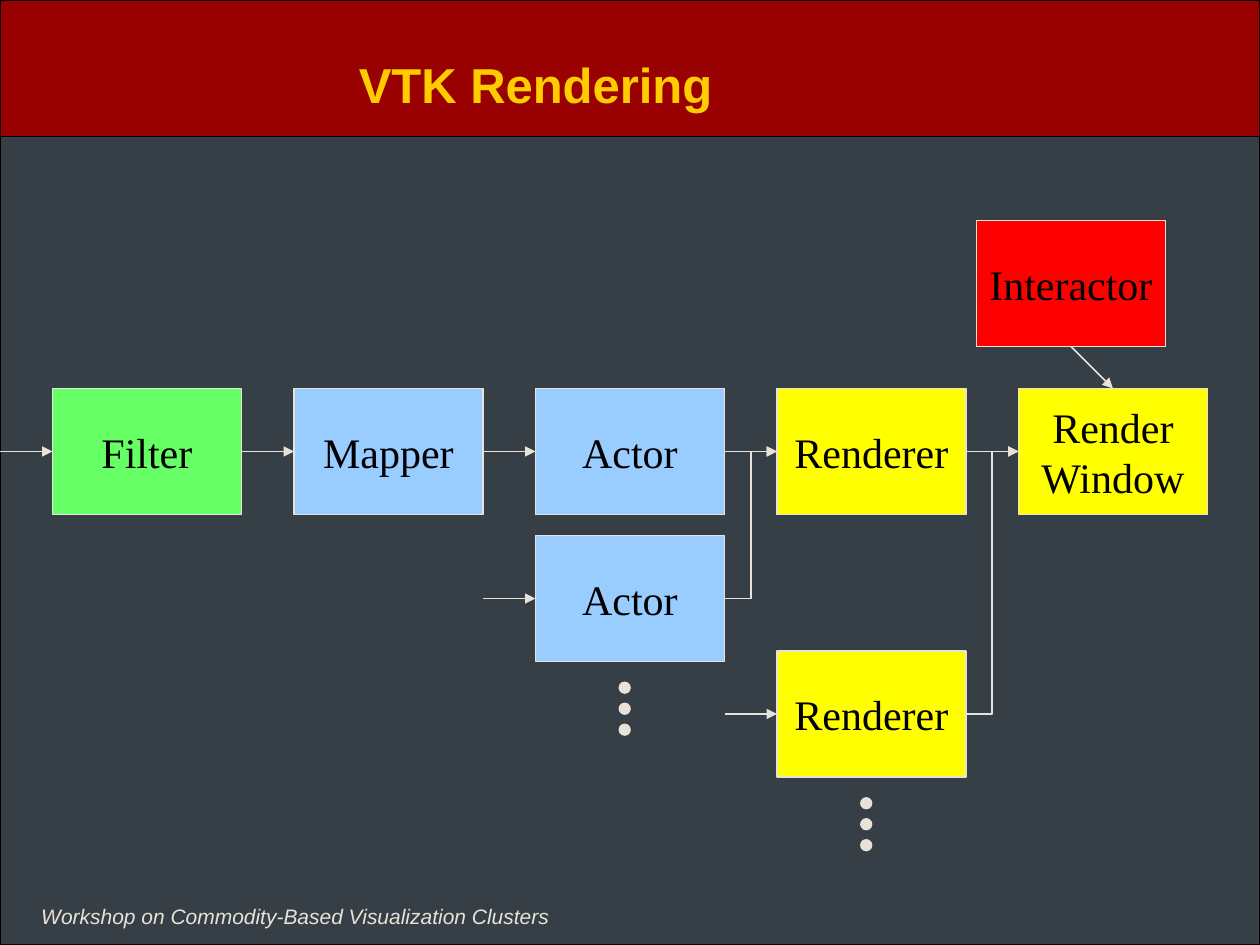
from pptx import Presentation
from pptx.dml.color import RGBColor
from pptx.enum import shapes, text
from pptx.oxml import parse_xml
from pptx.oxml.ns import nsdecls, qn
from pptx.util import Pt

THEME = dict(
    bg="353F45", band="990000", frame="000000", line="E8E2D8", title="FFCC00",
    ink="000000", green="66FF66", blue="99CCFF", yellow="FFFF00", red="FF0000",
    heading="Arial", body="Times New Roman",
    title_size=28, box_size=24, footer_size=12, frame_width=0.75, line_width=1,
)

TITLE = "VTK Rendering"
FOOTER = "Workshop on Commodity-Based Visualization Clusters"

SLIDE_W, SLIDE_H, BAND_H = 720, 540, 78
BOX_W, BOX_H, GAP, LEFT = 108, 72, 30, 30
DOT, DOT_STEP, DOT_INDENT = 6, 12, 48
TOP, BOTTOM, LEFT_SITE, RIGHT_SITE = 0, 2, 1, 3


def column(i):
    return LEFT + i * (BOX_W + GAP)


# key: (label, colour, left, top)
BOXES = {
    "filter": ("Filter", "green", column(0), 222),
    "mapper": ("Mapper", "blue", column(1), 222),
    "actor": ("Actor", "blue", column(2), 222),
    "renderer": ("Renderer", "yellow", column(3), 222),
    "window": ("Render\nWindow", "yellow", column(4), 222),
    "actor 2": ("Actor", "blue", column(2), 306),
    "renderer 2": ("Renderer", "yellow", column(3), 372),
    "interactor": ("Interactor", "red", 558, 126),
}
FLOW = [("filter", "mapper"), ("mapper", "actor"), ("actor", "renderer"),
        ("renderer", "window")]
MERGES = [("actor 2", "renderer"), ("renderer 2", "window")]
INPUTS = ["filter", "actor 2", "renderer 2"]
CONTINUED = ["actor 2", "renderer 2"]


def color(name):
    return RGBColor.from_string(THEME[name])


def write(sp, content, font="body", size="box_size", ink="ink", bold=False,
          italic=False, align=text.PP_ALIGN.CENTER,
          anchor=text.MSO_ANCHOR.MIDDLE, wrap=False):
    tf = sp.text_frame
    tf.word_wrap = wrap
    tf.vertical_anchor = anchor
    for i, line in enumerate(content.split("\n")):
        p = tf.add_paragraph() if i else tf.paragraphs[0]
        p.alignment = align
        r = p.add_run()
        r.text = line
        r.font.name = THEME[font]
        r.font.size = Pt(THEME[size])
        r.font.color.rgb = color(ink)
        r.font.bold, r.font.italic = bold, italic


def add_shape(s, kind, x, y, w, h, fill=None, line="line", width="line_width"):
    sp = s.shapes.add_shape(kind, Pt(x), Pt(y), Pt(w), Pt(h))
    sp.shadow.inherit = False
    if fill:
        sp.fill.solid()
        sp.fill.fore_color.rgb = color(fill)
    else:
        sp.fill.background()
    sp.line.color.rgb = color(line)
    sp.line.width = Pt(THEME[width])
    return sp


def add_arrow(s, target, target_site=LEFT_SITE, source=None,
              source_site=RIGHT_SITE, kind=shapes.MSO_CONNECTOR.STRAIGHT):
    """Glue an arrow to target; without a source it starts one gap to the left."""
    y = target.top + target.height // 2
    cx = s.shapes.add_connector(kind, target.left - Pt(GAP), y, target.left, y)
    if source is not None:
        cx.begin_connect(source, source_site)
    cx.end_connect(target, target_site)
    cx.line.color.rgb = color("line")
    cx.line.width = Pt(THEME["line_width"])
    ln = cx.line._get_or_add_ln()
    ln.append(ln.makeelement(qn("a:tailEnd"), {"type": "triangle"}))
    cx._element.spPr.append(parse_xml(f"<a:effectLst {nsdecls('a')}/>"))


def main():
    prs = Presentation()
    prs.slide_width, prs.slide_height = Pt(SLIDE_W), Pt(SLIDE_H)
    s = prs.slides.add_slide(prs.slide_layouts[6])
    s.background.fill.solid()
    s.background.fill.fore_color.rgb = color("bg")

    rect, oval = shapes.MSO_SHAPE.RECTANGLE, shapes.MSO_SHAPE.OVAL
    for height, fill in [(SLIDE_H, None), (BAND_H, "band")]:
        add_shape(s, rect, 0, 0, SLIDE_W, height, fill, "frame", "frame_width")

    footer = s.shapes.add_textbox(Pt(16.5), Pt(512.5), Pt(305), Pt(21.5))
    write(footer, FOOTER, font="heading", size="footer_size", ink="line",
          italic=True, align=text.PP_ALIGN.LEFT, anchor=text.MSO_ANCHOR.TOP)
    title = s.shapes.add_textbox(Pt(42), Pt(12), Pt(528), Pt(72))
    write(title, TITLE, font="heading", size="title_size", ink="title",
          bold=True, wrap=True)

    boxes = {}
    for key, (label, fill, x, y) in BOXES.items():
        boxes[key] = add_shape(s, rect, x, y, BOX_W, BOX_H, fill)
        write(boxes[key], label)

    for source, target in FLOW:
        add_arrow(s, boxes[target], source=boxes[source])
    for source, target in MERGES:
        add_arrow(s, boxes[target], source=boxes[source],
                  kind=shapes.MSO_CONNECTOR.ELBOW)
    for target in INPUTS:
        add_arrow(s, boxes[target])
    add_arrow(s, boxes["window"], TOP, boxes["interactor"], BOTTOM)

    for key in CONTINUED:
        _, _, x, y = BOXES[key]
        for i in range(1, 4):
            add_shape(s, oval, x + DOT_INDENT, y + BOX_H + i * DOT_STEP,
                      DOT, DOT, "line")

    prs.save("out.pptx")


if __name__ == "__main__":
    main()
